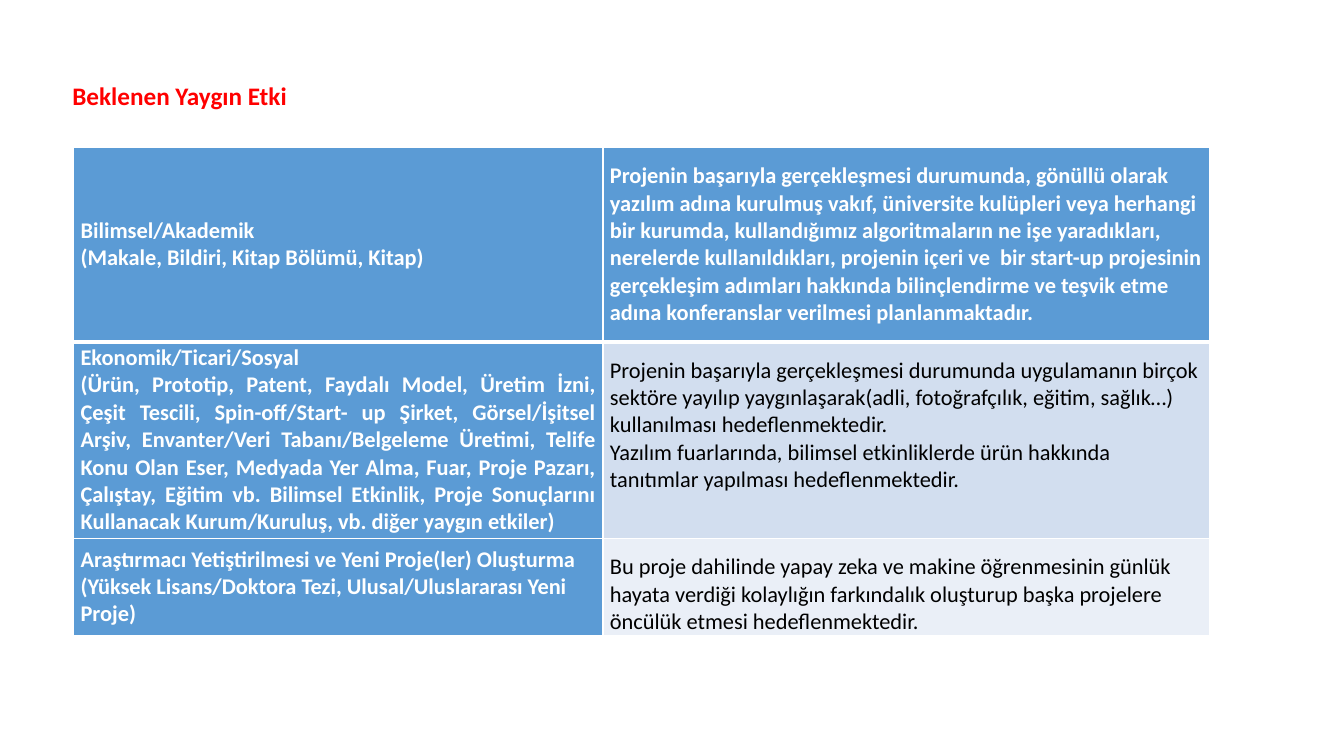
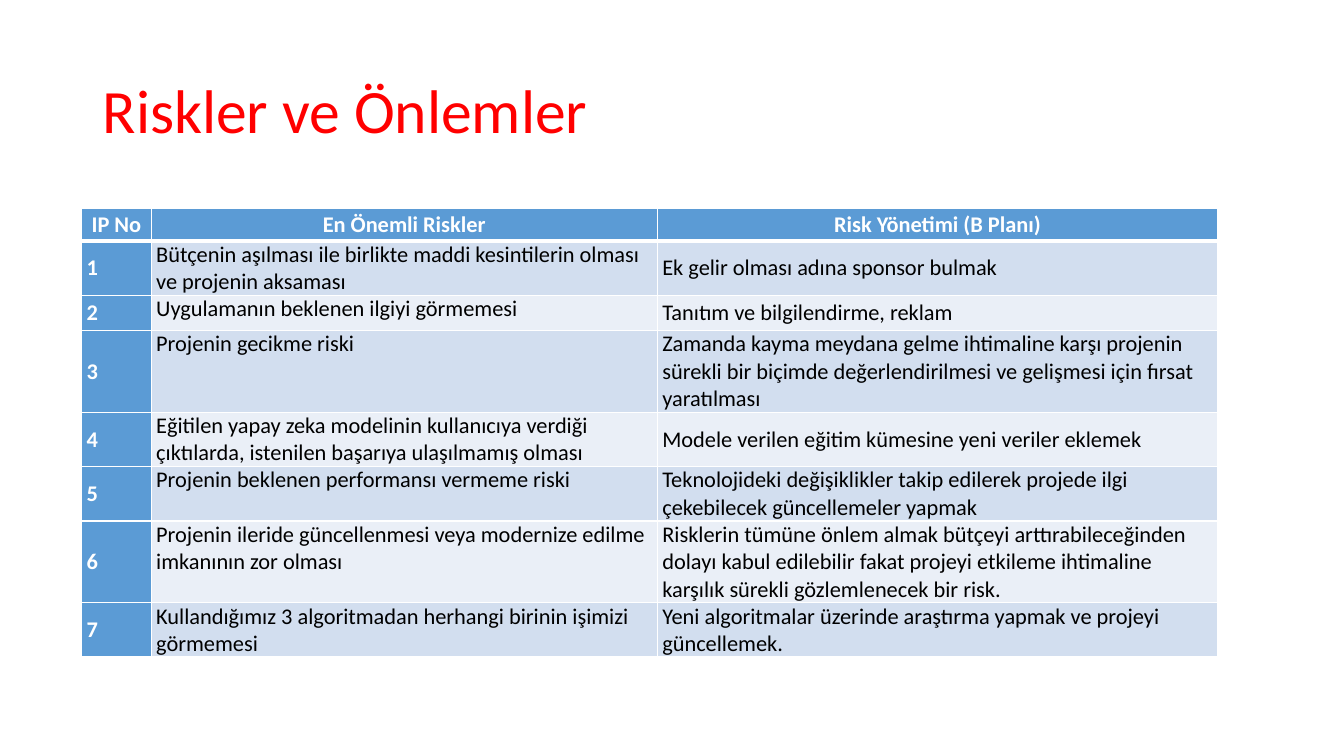
"""Build two slides on a project's expected impact and its risks."""
from lxml import etree
from pptx import Presentation
from pptx.dml.color import RGBColor
from pptx.enum import text
from pptx.oxml import ns
from pptx.util import Inches, Pt

FONT = "Calibri"
RED, WHITE, BLACK = "FF0000", "FFFFFF", "000000"
BLUE, BANDS = "5B9BD5", ("D2DEEF", "EAEFF7")
LEFT, MID, JUST = text.PP_ALIGN.LEFT, text.PP_ALIGN.CENTER, text.PP_ALIGN.JUSTIFY
TOP, CENTRE = text.MSO_ANCHOR.TOP, text.MSO_ANCHOR.MIDDLE

IMPACT = [
    (["Bilimsel/Akademik", "(Makale, Bildiri, Kitap Bölümü, Kitap)"],
     ["Projenin başarıyla gerçekleşmesi durumunda, gönüllü olarak yazılım adına kurulmuş vakıf, "
      "üniversite kulüpleri veya herhangi bir kurumda, kullandığımız algoritmaların ne işe "
      "yaradıkları, nerelerde kullanıldıkları, projenin içeri ve  bir start-up projesinin "
      "gerçekleşim adımları hakkında bilinçlendirme ve teşvik etme adına konferanslar verilmesi "
      "planlanmaktadır."]),
    (["Ekonomik/Ticari/Sosyal",
      "(Ürün, Prototip, Patent, Faydalı Model, Üretim İzni, Çeşit Tescili, Spin-off/Start- up "
      "Şirket, Görsel/İşitsel Arşiv, Envanter/Veri Tabanı/Belgeleme Üretimi, Telife Konu Olan "
      "Eser, Medyada Yer Alma, Fuar, Proje Pazarı, Çalıştay, Eğitim vb. Bilimsel Etkinlik, Proje "
      "Sonuçlarını Kullanacak Kurum/Kuruluş, vb. diğer yaygın etkiler)"],
     ["Projenin başarıyla gerçekleşmesi durumunda uygulamanın birçok sektöre yayılıp "
      "yaygınlaşarak(adli, fotoğrafçılık, eğitim, sağlık…) kullanılması hedeflenmektedir.",
      "Yazılım fuarlarında, bilimsel etkinliklerde ürün hakkında tanıtımlar yapılması "
      "hedeflenmektedir."]),
    (["Araştırmacı Yetiştirilmesi ve Yeni Proje(ler) Oluşturma",
      "(Yüksek Lisans/Doktora Tezi, Ulusal/Uluslararası Yeni Proje)"],
     ["Bu proje dahilinde yapay zeka ve makine öğrenmesinin günlük hayata verdiği kolaylığın "
      "farkındalık oluşturup başka projelere öncülük etmesi hedeflenmektedir."]),
]
HEADS = ("IP No", "En Önemli Riskler", "Risk Yönetimi (B Planı)")
RISKS = [
    ("Bütçenin aşılması ile birlikte maddi kesintilerin olması ve projenin aksaması",
     "Ek gelir olması adına sponsor bulmak"),
    ("Uygulamanın beklenen ilgiyi görmemesi", "Tanıtım ve bilgilendirme, reklam"),
    ("Projenin gecikme riski",
     "Zamanda kayma meydana gelme ihtimaline karşı projenin sürekli bir biçimde "
     "değerlendirilmesi ve gelişmesi için fırsat yaratılması"),
    ("Eğitilen yapay zeka modelinin kullanıcıya verdiği çıktılarda, istenilen başarıya "
     "ulaşılmamış olması", "Modele verilen eğitim kümesine yeni veriler eklemek"),
    ("Projenin beklenen performansı vermeme riski",
     "Teknolojideki değişiklikler takip edilerek projede ilgi çekebilecek güncellemeler yapmak"),
    ("Projenin ileride güncellenmesi veya modernize edilme imkanının zor olması",
     "Risklerin tümüne önlem almak bütçeyi arttırabileceğinden dolayı kabul edilebilir fakat "
     "projeyi etkileme ihtimaline karşılık sürekli gözlemlenecek bir risk."),
    ("Kullandığımız 3 algoritmadan herhangi birinin işimizi görmemesi",
     "Yeni algoritmalar üzerinde araştırma yapmak ve projeyi güncellemek."),
]


def color(code):
    return RGBColor.from_string(code)


def write(frame, lines, size, code, bold=False, align=LEFT):
    frame.word_wrap = True
    for i, line in enumerate(lines):
        para = frame.paragraphs[0] if i == 0 else frame.add_paragraph()
        para.alignment = align
        run = para.add_run()
        run.text = line
        font = run.font
        font.name, font.size, font.bold = FONT, Pt(size), bold
        font.color.rgb = color(code)


def add_title(slide, box, line, size, bold=False):
    frame = slide.shapes.add_textbox(*map(Inches, box)).text_frame
    write(frame, [line], size, RED, bold)
    return frame


def add_edges(cell, row):
    props = cell._tc.get_or_add_tcPr()
    for side in "LRTB":
        thick = (row, side) in ((0, "B"), (1, "T"))
        line = etree.SubElement(props, ns.qn("a:ln" + side), w=str(Pt(3 if thick else 1)))
        fill = etree.SubElement(line, ns.qn("a:solidFill"))
        etree.SubElement(fill, ns.qn("a:srgbClr"), val=WHITE)


def add_grid(slide, spot, cols, rows, cells, inset):
    size = sum(cols), sum(rows)
    table = slide.shapes.add_table(len(rows), len(cols), *map(Inches, spot + size)).table
    for col, width in zip(table.columns, cols):
        col.width = Inches(width)
    for r, (height, line) in enumerate(zip(rows, cells)):
        table.rows[r].height = Inches(height)
        for c, (lines, align, anchor, top) in enumerate(line):
            cell = table.cell(r, c)
            head = r == 0 or c == 0
            cell.margin_left = cell.margin_right = Inches(inset)
            cell.margin_top, cell.margin_bottom = Inches(top), 0
            cell.vertical_anchor = anchor
            add_edges(cell, r)
            cell.fill.solid()
            cell.fill.fore_color.rgb = color(BLUE if head else BANDS[(r - 1) % 2])
            write(cell.text_frame, lines, 16, WHITE if head else BLACK, head, align)


def add_impact(slide):
    cells = [[(left, JUST if r == 1 else LEFT, CENTRE, 0), (right, LEFT, TOP, 0.15)]
             for r, (left, right) in enumerate(IMPACT)]
    add_grid(slide, (0.73, 1.46), (5.25, 6.02), (1.93, 1.95, 0.96), cells, 0.07)
    add_title(slide, (0.62, 0.75, 6.67, 0.4), "Beklenen Yaygın Etki", 18, True)


def add_risks(slide):
    frame = add_title(slide, (0.92, 0.4, 11.5, 1.45), "Riskler ve Önlemler", 44)
    frame.vertical_anchor = CENTRE
    frame.paragraphs[0].line_spacing = 0.9
    cells = [[([head], MID, CENTRE, 0) for head in HEADS]]
    for n, (risk, plan) in enumerate(RISKS, 1):
        cells.append([([str(n)], LEFT, CENTRE, 0), ([risk], LEFT, TOP, 0),
                      ([plan], LEFT, CENTRE, 0)])
    rows = [0.32] + [max(0.35, 0.27 * n) for n in (2, 1, 3, 2, 2, 3, 2)]
    add_grid(slide, (0.81, 2.07), (0.69, 5.02, 5.56), rows, cells, 0.05)


def main():
    deck = Presentation()
    deck.slide_width, deck.slide_height = Inches(13.33), Inches(7.5)
    for build in (add_impact, add_risks):
        build(deck.slides.add_slide(deck.slide_layouts[6]))
    deck.save("out.pptx")


if __name__ == "__main__":
    main()
